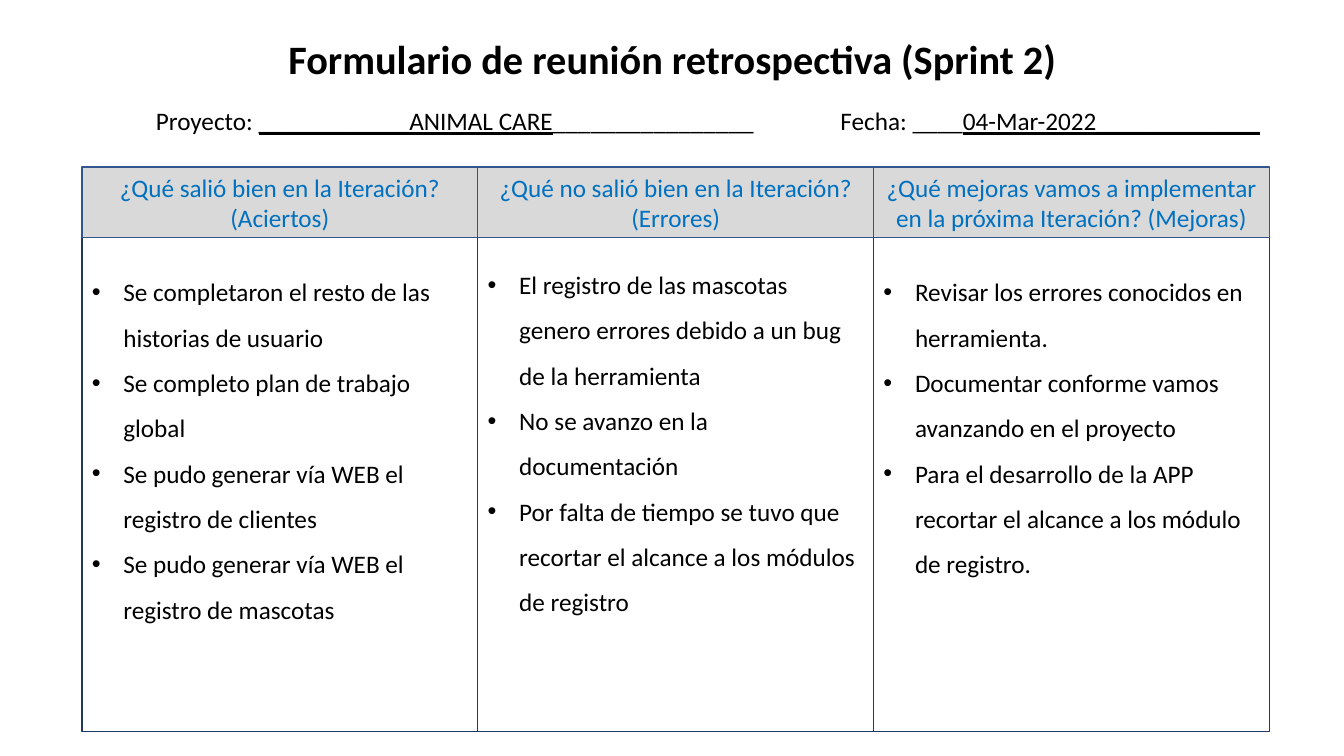
from dataclasses import dataclass

from lxml import etree
from pptx import Presentation
from pptx import util as u
from pptx.dml.color import RGBColor
from pptx.enum import shapes, text
from pptx.oxml.ns import qn

PX = 9525  # EMU per px, 96 px to the inch
COLORS = {
    "text": "000000", "heading": "0070C0",
    "heading_fill": "D9D9D9", "heading_line": "325491",
    "body_fill": "FFFFFF", "body_line": "203864",
}
LEFT, COL_W = 78, 377
HEAD_TOP, HEAD_H = 159, 67
BODY_TOP, BODY_H = HEAD_TOP + HEAD_H, 471
INDENT = 30


@dataclass
class Column:
    heading: str
    points: list[str]
    top_inset: int


@dataclass
class Field:
    left: int
    width: int
    runs: list[tuple[str, bool]]  # text, underlined


COLUMNS = [
    Column("¿Qué salió bien en la Iteración? (Aciertos)", [
        "Se completaron el resto de las historias de usuario",
        "Se completo plan de trabajo global",
        "Se pudo generar vía WEB el registro de clientes",
        "Se pudo generar vía WEB el registro de mascotas",
    ], 23),
    Column("¿Qué no salió bien en la Iteración? (Errores)", [
        "El registro de las mascotas genero errores debido a un bug de la herramienta",
        "No se avanzo en la documentación",
        "Por falta de tiempo se tuvo que recortar el alcance a los módulos de registro",
    ], 16),
    Column("¿Qué mejoras vamos a implementar en la próxima Iteración? (Mejoras)", [
        "Revisar los errores conocidos en herramienta.",
        "Documentar conforme vamos avanzando en el proyecto",
        "Para el desarrollo de la APP recortar el alcance a los módulo de registro.",
    ], 23),
]
FIELDS = [
    Field(139, 608, [("Proyecto: ", False), ("____________ANIMAL CARE", True),
                     ("________________", False)]),
    Field(791, 424, [("Fecha: ____", False), ("04-Mar-2022_____________", True)]),
]


def px(*values: int) -> list[int]:
    return [v * PX for v in values]


def set_format(target, **values) -> None:
    for name, value in values.items():
        setattr(target, name, value)


def add_run(p, content: str, color: str = "text", **font) -> None:
    r = p.add_run()
    r.text = content
    set_format(r.font, **{"name": "Calibri", "size": u.Pt(18), **font})
    r.font.color.rgb = RGBColor.from_string(COLORS[color])


def add_box(s, kind: str, left: int, top: int, width: int, height: int):
    sp = s.shapes.add_shape(shapes.MSO_SHAPE.RECTANGLE, *px(left, top, width, height))
    sp.shadow.inherit = False
    sp.fill.solid()
    sp.fill.fore_color.rgb = RGBColor.from_string(COLORS[kind + "_fill"])
    sp.line.color.rgb = RGBColor.from_string(COLORS[kind + "_line"])
    sp.line.width = u.Pt(1)
    sp.text_frame.word_wrap = True
    return sp.text_frame


def add_bullet(p) -> None:
    pPr = p._p.get_or_add_pPr()
    pPr.set("marL", str(INDENT * PX))
    pPr.set("indent", str(-INDENT * PX))
    etree.SubElement(pPr, qn("a:buFont")).set("typeface", "Arial")
    etree.SubElement(pPr, qn("a:buChar")).set("char", "•")


def add_title(s) -> None:
    tf = s.shapes.add_textbox(*px(71, 33, 1139, 51)).text_frame
    set_format(tf, word_wrap=True, vertical_anchor=text.MSO_ANCHOR.BOTTOM)
    p = tf.paragraphs[0]
    set_format(p, alignment=text.PP_ALIGN.CENTER, line_spacing=0.9)
    add_run(p, "Formulario de reunión retrospectiva (Sprint 2)", size=u.Pt(28.8), bold=True)


def add_field(s, field: Field) -> None:
    tf = s.shapes.add_textbox(*px(field.left, 96, field.width, 38)).text_frame
    set_format(tf, word_wrap=False, auto_size=text.MSO_AUTO_SIZE.SHAPE_TO_FIT_TEXT)
    for content, underlined in field.runs:
        add_run(tf.paragraphs[0], content, underline=underlined)


def add_body(s, column: Column, left: int) -> None:
    tf = add_box(s, "body", left, BODY_TOP, COL_W, BODY_H)
    set_format(tf, vertical_anchor=text.MSO_ANCHOR.TOP, margin_top=column.top_inset * PX)
    for i, point in enumerate(column.points):
        p = tf.add_paragraph() if i else tf.paragraphs[0]
        set_format(p, alignment=text.PP_ALIGN.LEFT, line_spacing=1.5)
        add_bullet(p)
        add_run(p, point)


def add_heading(s, column: Column, left: int) -> None:
    tf = add_box(s, "heading", left, HEAD_TOP, COL_W, HEAD_H)
    tf.vertical_anchor = text.MSO_ANCHOR.MIDDLE
    p = tf.paragraphs[0]
    p.alignment = text.PP_ALIGN.CENTER
    add_run(p, column.heading, "heading")


def main() -> None:
    prs = Presentation()
    prs.slide_width, prs.slide_height = px(1280, 720)
    s = prs.slides.add_slide(prs.slide_layouts[6])

    # Title and form fields
    add_title(s)
    for field in FIELDS:
        add_field(s, field)

    # Three columns: body, then heading
    for draw in (add_body, add_heading):
        for i, column in enumerate(COLUMNS):
            draw(s, column, LEFT + i * COL_W)

    prs.save("out.pptx")


if __name__ == "__main__":
    main()
